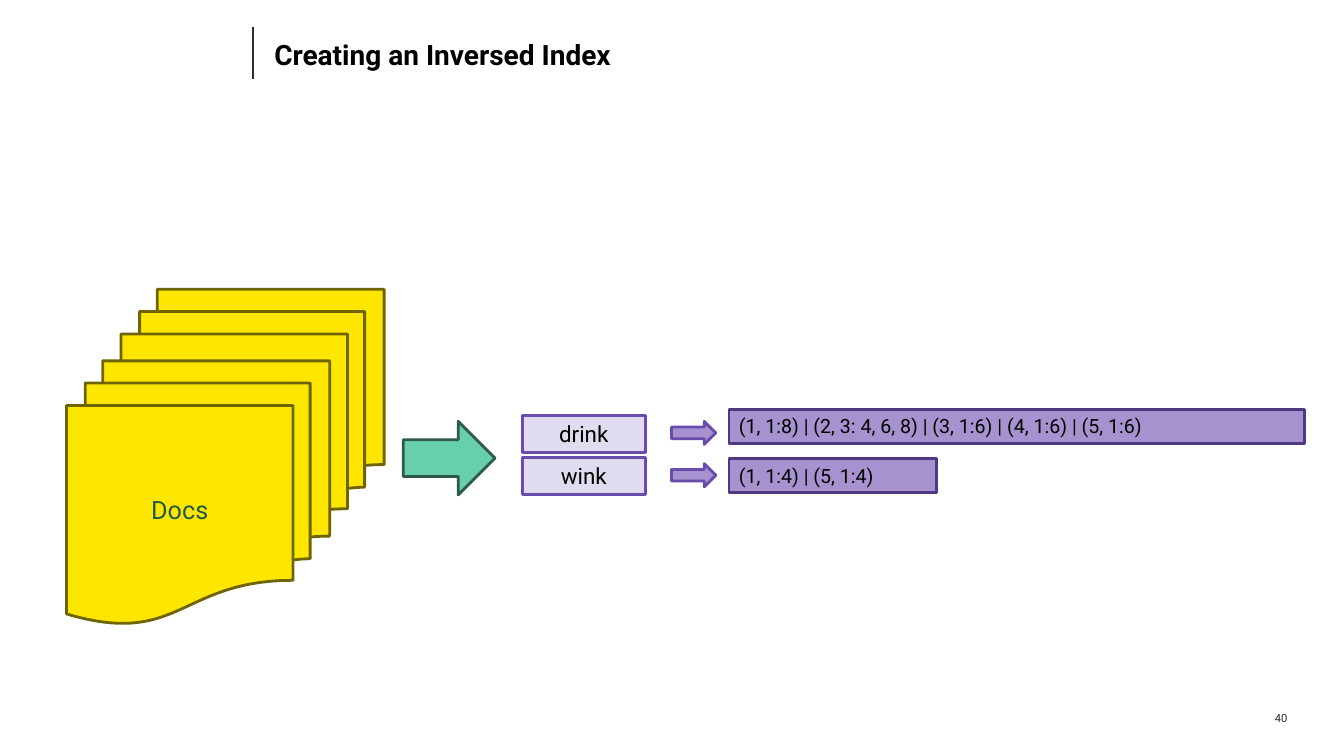
from pptx import Presentation
from pptx.dml.color import RGBColor
from pptx.enum.shapes import MSO_CONNECTOR, MSO_SHAPE
from pptx.enum.text import MSO_ANCHOR, MSO_AUTO_SIZE, PP_ALIGN
from pptx.oxml.ns import qn
from pptx.util import Inches, Pt
from lxml import etree

RECTANGLE = MSO_SHAPE.RECTANGLE
ARROW = MSO_SHAPE.RIGHT_ARROW
DOCUMENTS = MSO_SHAPE.FLOWCHART_MULTIDOCUMENT
STRAIGHT = MSO_CONNECTOR.STRAIGHT
TOP, MIDDLE = MSO_ANCHOR.TOP, MSO_ANCHOR.MIDDLE
LEFT, CENTER, RIGHT = PP_ALIGN.LEFT, PP_ALIGN.CENTER, PP_ALIGN.RIGHT
NO_FIT, GROW = MSO_AUTO_SIZE.NONE, MSO_AUTO_SIZE.SHAPE_TO_FIT_TEXT

BLACK, DARK = "000000", "2B2D34"
YELLOW, OLIVE = "FEE600", "6F6500"
GREEN, DARK_GREEN, DOCS_GREEN = "67D0AB", "2D5B4B", "225B45"
LILAC, PURPLE, VIOLET, DARK_VIOLET = "E1DBEF", "A592CF", "6A4CAD", "4E3880"


def color(value):
    """Turn a hex string into a colour."""
    return RGBColor.from_string(value)


class SlideBuilder:
    """Draw styled elements on the current slide."""

    font = "Roboto"
    outline = Pt(2)

    def __init__(self, slide):
        self.slide = slide

    def set_text(self, shape, text, size, ink, align=LEFT, anchor=TOP,
                 bold=False, fit=NO_FIT, inset=True):
        """Set and format the single paragraph of a shape."""
        frame = shape.text_frame
        frame.text = text
        frame.word_wrap = True
        frame.auto_size = fit
        frame.vertical_anchor = anchor
        if not inset:
            frame.margin_left = frame.margin_right = 0
            frame.margin_top = frame.margin_bottom = 0
        para = frame.paragraphs[0]
        para.alignment = align
        font = para.runs[0].font
        font.name, font.size, font.bold = self.font, Pt(size), bold
        font.color.rgb = color(ink)
        return para

    def title(self, text, left, top, width, height):
        """Place and fill the title placeholder."""
        title = self.slide.shapes.title
        title.left, title.top = Inches(left), Inches(top)
        title.width, title.height = Inches(width), Inches(height)
        para = self.set_text(title, text, 20, BLACK, anchor=MIDDLE, bold=True, inset=False)
        para.line_spacing = Pt(20)

    def label(self, text, left, top, width, height):
        """Add a small right-aligned text box."""
        box = self.slide.shapes.add_textbox(
            Inches(left), Inches(top), Inches(width), Inches(height))
        self.set_text(box, text, 8, DARK, RIGHT, fit=GROW, inset=False)

    def rule(self, left, top, bottom):
        """Add a thin vertical line."""
        line = self.slide.shapes.add_connector(
            STRAIGHT, Inches(left), Inches(top), Inches(left), Inches(bottom))
        line.line.color.rgb = color(DARK)
        line.line.width = Pt(1)
        etree.SubElement(line.element.spPr, qn("a:effectLst"))

    def shape(self, kind, left, top, width, height, fill, line):
        """Add a filled and outlined preset shape."""
        shape = self.slide.shapes.add_shape(
            kind, Inches(left), Inches(top), Inches(width), Inches(height))
        shape.shadow.inherit = False
        shape.fill.solid()
        shape.fill.fore_color.rgb = color(fill)
        shape.line.color.rgb = color(line)
        shape.line.width = self.outline
        return shape

    def index_row(self, term, postings, top, postings_top, postings_width):
        """Add a term, its arrow and its postings list."""
        box = self.shape(RECTANGLE, 5.18, top, 1.22, 0.37, LILAC, VIOLET)
        self.set_text(box, term, 16, BLACK, CENTER, fit=GROW)
        self.shape(ARROW, 6.66, top + 0.06, 0.44, 0.23, PURPLE, VIOLET)
        box = self.shape(RECTANGLE, 7.23, postings_top, postings_width, 0.34,
                         PURPLE, DARK_VIOLET)
        self.set_text(box, postings, 14, BLACK, fit=GROW)


def main():
    """Build the slide and save the deck."""
    deck = Presentation()
    deck.slide_width, deck.slide_height = Inches(13.33), Inches(7.5)
    page = SlideBuilder(deck.slides.add_slide(deck.slide_layouts[5]))

    page.label("40", 12.49, 7.06, 0.28, 0.13)
    page.rule(2.51, 0.27, 0.78)
    page.title("Creating an Inversed Index", 2.72, 0.24, 10.3, 0.65)

    page.index_row("wink", "(1, 1:4) | (5, 1:4)", 4.54, 4.55, 2.06)
    page.index_row("drink", "(1, 1:8) | (2, 3: 4, 6, 8) | (3, 1:6) | (4, 1:6) | (5, 1:6)",
                   4.12, 4.06, 5.71)

    page.shape(DOCUMENTS, 1.2, 2.87, 2.61, 2.61, YELLOW, OLIVE)
    docs = page.shape(DOCUMENTS, 0.66, 3.58, 2.61, 2.61, YELLOW, OLIVE)
    page.set_text(docs, "Docs", 18, DOCS_GREEN, CENTER, MIDDLE)
    page.shape(ARROW, 4, 4.18, 0.91, 0.73, GREEN, DARK_GREEN)

    deck.save("out.pptx")


if __name__ == "__main__":
    main()
